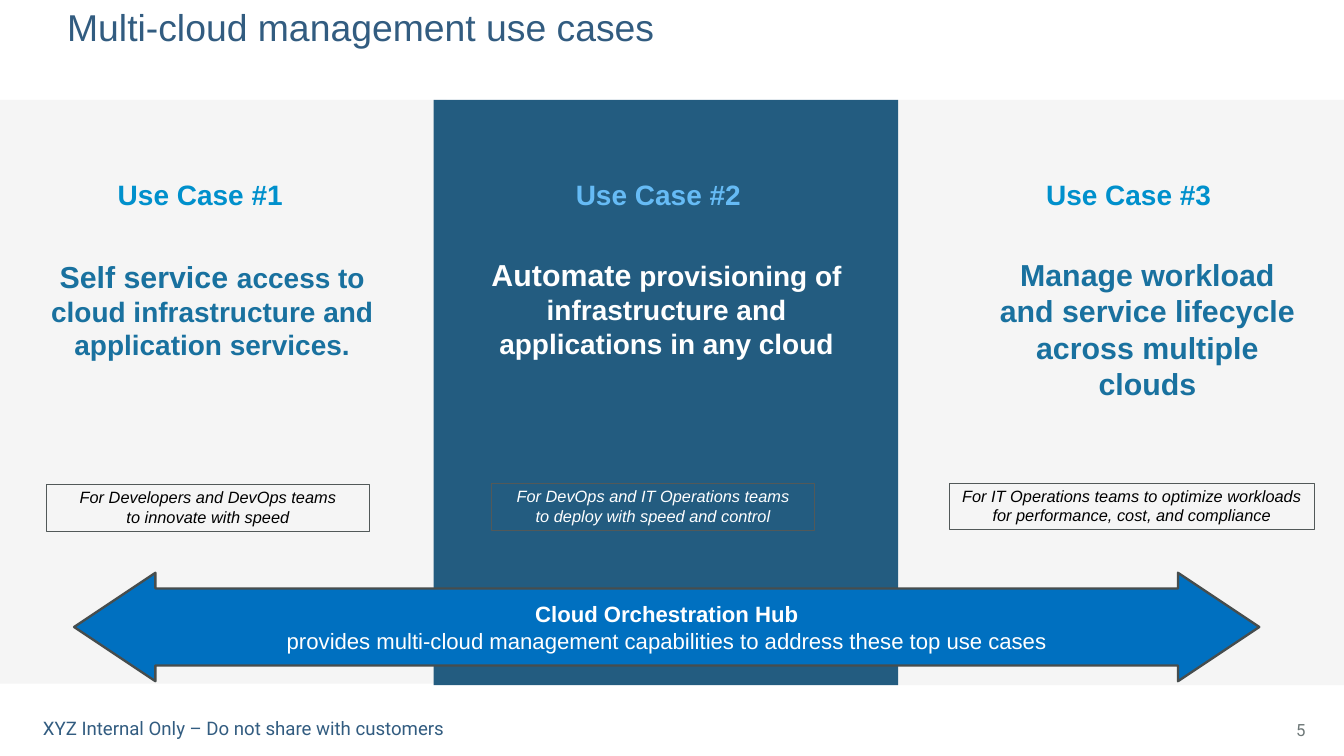
from dataclasses import dataclass

from pptx import Presentation
from pptx.dml.color import RGBColor
from pptx.enum.shapes import MSO_SHAPE
from pptx.enum.text import MSO_ANCHOR, PP_ALIGN
from pptx.util import Cm, Pt


@dataclass(frozen=True)
class Theme:
    font: str = "Arial"
    footer_font: str = "Roboto"
    title: str = "325C80"
    light_panel: str = "F5F5F5"
    dark_panel: str = "235C80"
    heading: str = "0090CC"
    heading_on_dark: str = "66BBF5"
    message: str = "19719F"
    white: str = "FFFFFF"
    black: str = "000000"
    arrow: str = "0070C0"
    arrow_line: str = "474D4D"
    audience_line: str = "525959"
    page_number: str = "6D7777"
    title_size: float = 32
    lead_size: float = 26
    body_size: float = 24
    arrow_size: float = 19
    footer_size: float = 16
    page_size: float = 14.4
    audience_size: float = 14


@dataclass(frozen=True)
class Run:
    text: str
    size: float
    color: str
    bold: bool = False
    italic: bool = False
    font: str = Theme.font


class SlideBuilder:
    def __init__(self, slide, theme):
        self.slide = slide
        self.theme = theme

    def fill_frame(self, frame, paragraphs, align=PP_ALIGN.CENTER,
                   anchor=MSO_ANCHOR.TOP, inset=(0, 0), wrap=True):
        """Fill a frame; each paragraph is a list of Run, inset is (sides, top and bottom) in cm."""
        frame.word_wrap = wrap
        frame.vertical_anchor = anchor
        frame.margin_left = frame.margin_right = Cm(inset[0])
        frame.margin_top = frame.margin_bottom = Cm(inset[1])
        for index, runs in enumerate(paragraphs):
            paragraph = frame.add_paragraph() if index else frame.paragraphs[0]
            paragraph.alignment = align
            for style in runs:
                run = paragraph.add_run()
                run.text = style.text
                run.font.name = style.font
                run.font.size = Pt(style.size)
                run.font.bold = style.bold
                run.font.italic = style.italic
                run.font.color.rgb = RGBColor.from_string(style.color)

    def text(self, box, paragraphs, **layout):
        area = self.slide.shapes.add_textbox(*map(Cm, box))
        self.fill_frame(area.text_frame, paragraphs, **layout)

    def shape(self, kind, box, fill=None, line=None, line_width=0.75):
        outline = self.slide.shapes.add_shape(kind, *map(Cm, box))
        outline.shadow.inherit = False
        if fill:
            outline.fill.solid()
            outline.fill.fore_color.rgb = RGBColor.from_string(fill)
        else:
            outline.fill.background()
        if line:
            outline.line.color.rgb = RGBColor.from_string(line)
            outline.line.width = Pt(line_width)
        else:
            outline.line.fill.background()
        return outline

    def panel(self, box, fill):
        self.shape(MSO_SHAPE.RECTANGLE, box, fill)

    def heading(self, left, text, color):
        self.text((left, 5.23, 5.31, 1.27),
                  [[Run(text, self.theme.body_size, color, bold=True)]],
                  anchor=MSO_ANCHOR.MIDDLE, inset=(0.13, 0.13), wrap=False)

    def message(self, box, lead, rest, color):
        runs = [Run(lead, self.theme.lead_size, color, bold=True)]
        if rest:
            runs.append(Run(rest, self.theme.body_size, color, bold=True))
        self.text(box, [runs])

    def audience(self, box, lines, color):
        frame = self.shape(MSO_SHAPE.RECTANGLE, box, line=self.theme.audience_line).text_frame
        self.fill_frame(frame, [[Run(line, self.theme.audience_size, color, italic=True)]
                                for line in lines], inset=(0.15, 0.08))

    def double_arrow(self, box, name, claim):
        theme = self.theme
        arrow = self.shape(MSO_SHAPE.LEFT_RIGHT_ARROW, box, theme.arrow, theme.arrow_line, 2)
        arrow.adjustments[0] = 0.71
        arrow.adjustments[1] = 0.75
        self.fill_frame(arrow.text_frame,
                        [[Run(name, theme.arrow_size, theme.white, bold=True)],
                         [Run(claim, theme.arrow_size, theme.white)]],
                        anchor=MSO_ANCHOR.MIDDLE, inset=(0.23, 0.23))


def main():
    presentation = Presentation()
    presentation.slide_width, presentation.slide_height = Cm(40.64), Cm(22.86)
    theme = Theme()
    slide = presentation.slides.add_slide(presentation.slide_layouts[6])
    builder = SlideBuilder(slide, theme)

    builder.text((2.03, 0.05, 36.58, 1.5),
                 [[Run("Multi-cloud management use cases", theme.title_size, theme.title)]],
                 align=PP_ALIGN.LEFT, anchor=MSO_ANCHOR.MIDDLE)

    # The dark middle panel overlaps both light ones, so it comes last.
    builder.panel((0, 3.02, 13.49, 17.65), theme.light_panel)
    builder.panel((26.31, 3.02, 14.33, 17.7), theme.light_panel)
    builder.panel((13.11, 3.02, 14.05, 17.7), theme.dark_panel)

    use_cases = [
        (3.4, theme.heading, theme.message, theme.black,
         (1.27, 7.8, 10.29, 4.37), "Self service ",
         "access to cloud infrastructure and application services.",
         (1.4, 14.66, 9.78, 1.4),
         ["For Developers and DevOps teams", "to innovate with speed"]),
        (17.25, theme.heading_on_dark, theme.white, theme.white,
         (14.53, 7.75, 11.25, 5.54), "Automate",
         " provisioning of infrastructure and applications in any cloud",
         (14.86, 14.63, 9.78, 1.4),
         ["For DevOps and IT Operations teams", "to deploy with speed and control"]),
        (31.47, theme.heading, theme.message, theme.black,
         (29.95, 7.75, 9.5, 4.37),
         "Manage workload and service lifecycle across multiple clouds", "",
         (28.7, 14.61, 11.05, 1.4),
         ["For IT Operations teams to optimize workloads for performance, cost, and compliance"]),
    ]
    for number, (heading_left, heading_color, message_color, audience_color,
                 message_box, lead, rest, audience_box, audience) in enumerate(use_cases, 1):
        builder.heading(heading_left, f"Use Case #{number}", heading_color)
        builder.message(message_box, lead, rest, message_color)
        builder.audience(audience_box, audience, audience_color)

    builder.double_arrow(
        (2.24, 17.32, 35.84, 3.28), "Cloud Orchestration Hub",
        "provides multi-cloud management capabilities to address these top use cases")

    builder.text((1.3, 21.69, 12.88, 0.69),
                 [[Run("XYZ Internal Only – Do not share with customers",
                       theme.footer_size, theme.title, font=theme.footer_font)]],
                 align=PP_ALIGN.LEFT)
    builder.text((37.95, 21.46, 1.78, 1.22),
                 [[Run("5", theme.page_size, theme.page_number, font=theme.footer_font)]],
                 align=PP_ALIGN.RIGHT, anchor=MSO_ANCHOR.MIDDLE, inset=(0.25, 0.13))

    presentation.save("out.pptx")


if __name__ == "__main__":
    main()
